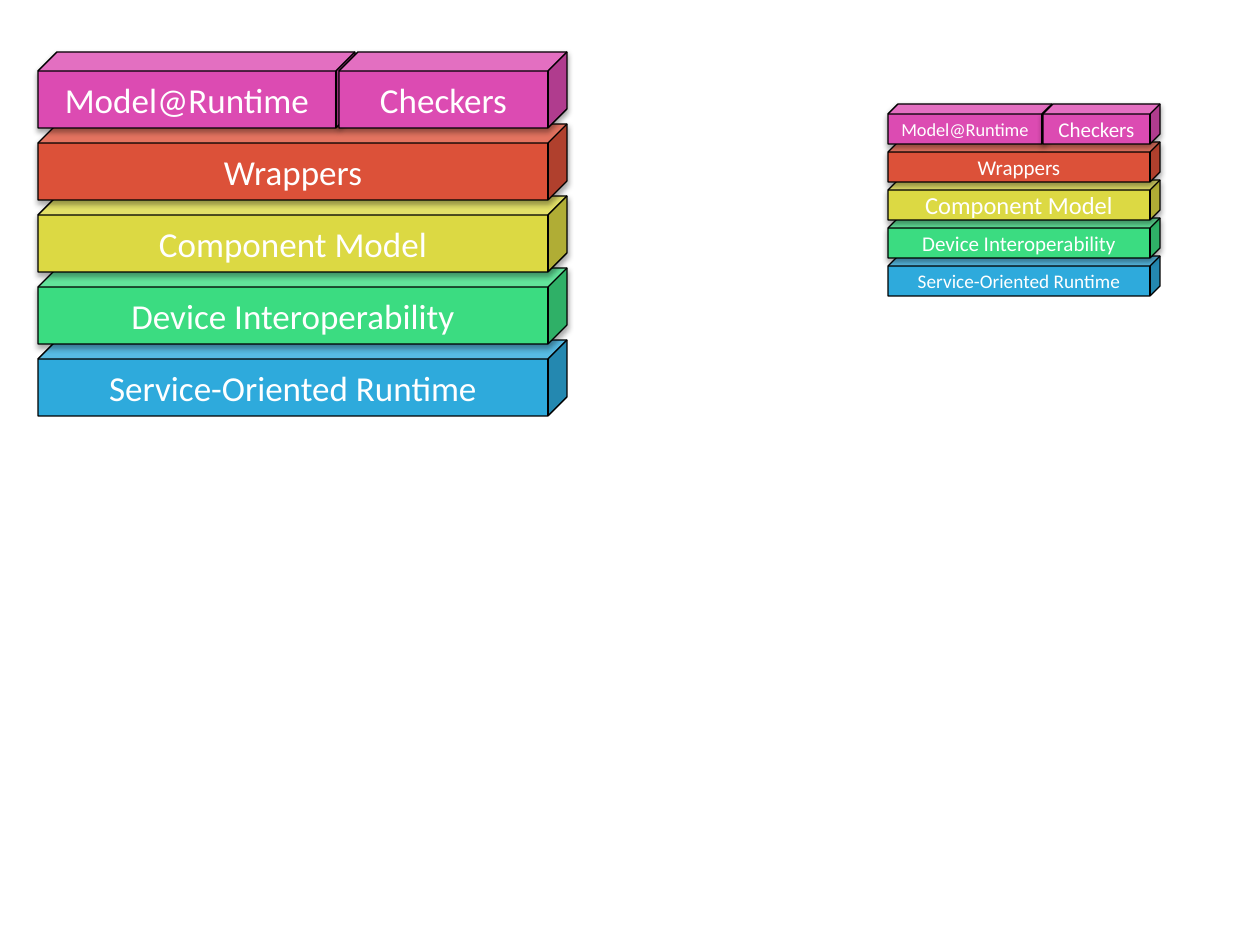
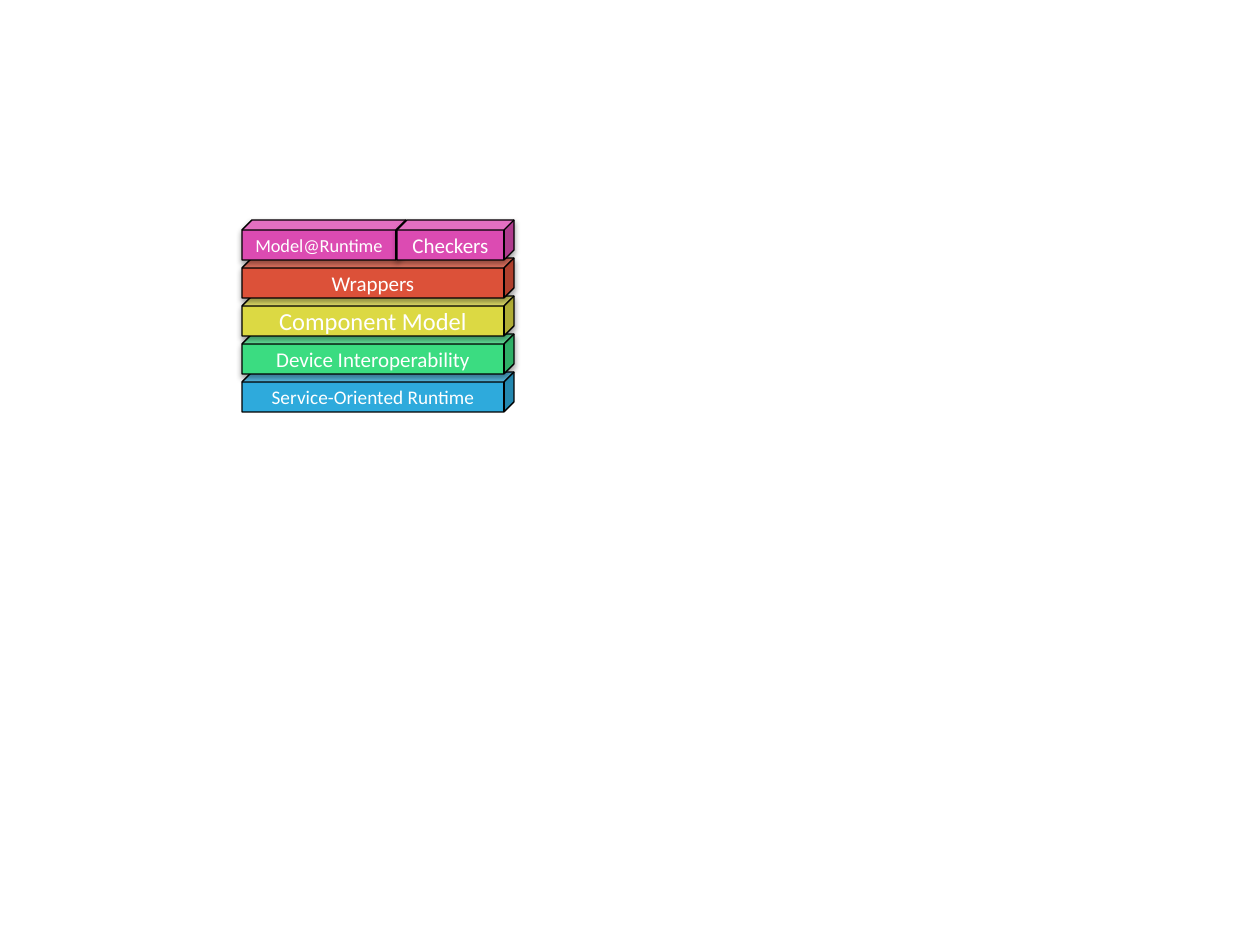
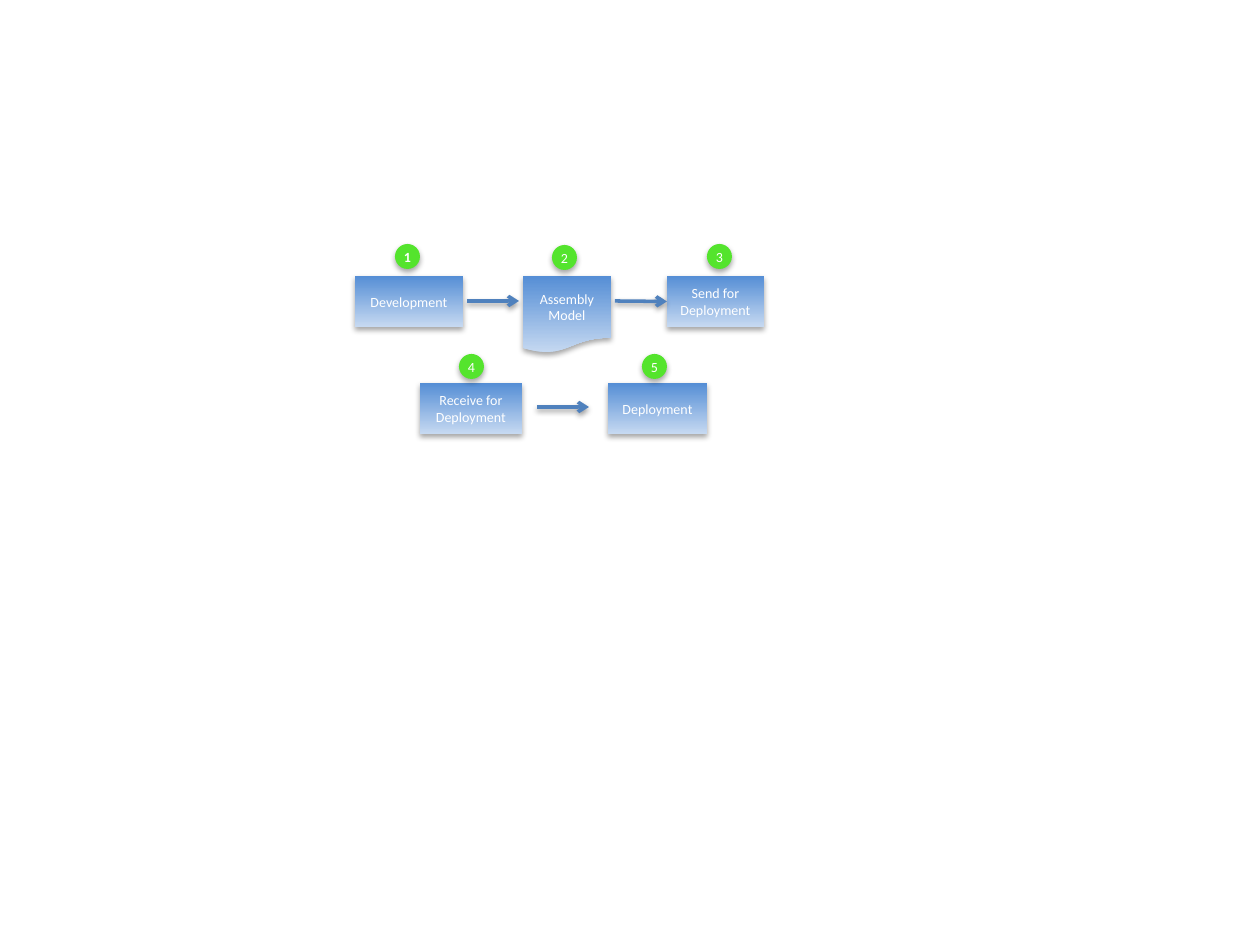
import lxml.etree
import pptx
import pptx.dml.color
import pptx.enum.shapes
import pptx.enum.text
import pptx.oxml
import pptx.oxml.ns
import pptx.util

PX = 9144000 / 1260
FONT = "Calibri"
WHITE = "FFFFFF"
BLACK = "000000"
ARROW_BLUE = "4F81BD"
BADGE_GREEN = "54E42D"
STEP_GRADIENT = ["C6D9F1", "558ED5"]
color = pptx.dml.color.RGBColor.from_string
KIND = pptx.enum.shapes.MSO_SHAPE
qn = pptx.oxml.ns.qn


def set_shadow(item, opacity, distance=23000):
    effects = lxml.etree.SubElement(item._element.spPr, qn("a:effectLst"))
    if opacity:
        shadow = lxml.etree.SubElement(effects, qn("a:outerShdw"), blurRad="40000",
                                       dist=str(distance), dir="5400000", rotWithShape="0")
        tone = lxml.etree.SubElement(shadow, qn("a:srgbClr"), val=BLACK)
        lxml.etree.SubElement(tone, qn("a:alpha"), val=str(opacity * 1000))


def add_block(group, kind, bounds, text, size, fill, outline=None, opacity=35):
    box = group.shapes.add_shape(kind, *[round(length * PX) for length in bounds])
    if isinstance(fill, list):
        box.fill.gradient()
        box.fill.gradient_angle = 90
        for stop, shade in zip(box.fill.gradient_stops, fill):
            stop.color.rgb = color(shade)
    else:
        box.fill.solid()
        box.fill.fore_color.rgb = color(fill)
    if outline:
        box.line.color.rgb = color(outline)
        box.line.width = pptx.util.Pt(0.75)
    else:
        box.line.fill.background()
    set_shadow(box, opacity)
    frame = box.text_frame
    frame.word_wrap = True
    frame.vertical_anchor = pptx.enum.text.MSO_ANCHOR.MIDDLE
    para = frame.paragraphs[0]
    para.alignment = pptx.enum.text.PP_ALIGN.CENTER
    span = para.add_run()
    span.text = text
    span.font.name = FONT
    span.font.size = pptx.util.Pt(size)
    span.font.color.rgb = color(WHITE)
    return box


deck = pptx.Presentation()
deck.slide_width = round(1260 * PX)
deck.slide_height = round(945 * PX)
pages = [deck.slides.add_slide(deck.slide_layouts[6]) for number in range(3)]

layers = [
    ("Service-Oriented Runtime", "2EAADC", 4),
    ("Device Interoperability", "3BDC81", 3),
    ("Component Model", "DCD943", 2),
    ("Wrappers", "DC5139", 1),
    ("Model@Runtime", "DC4BB2", 0),
    ("Checkers", "DC4BB2", 0),
]
large = {"width": 529, "height": 76, "pitch": 72, "model": 317, "checkers": 301,
         "sizes": [20] * 6}
small = {"width": 272, "height": 40, "pitch": 38, "model": 164, "checkers": 155,
         "sizes": [11, 12, 14, 12, 10.5, 12]}
stacks = [(pages[0], 38, 52, large), (pages[0], 888, 104, small), (pages[1], 242, 220, small)]

for page, left, top, stack in stacks:
    group = page.shapes.add_group_shape()
    for (name, fill, row), size in zip(layers, stack["sizes"]):
        start = stack["checkers"] if name == "Checkers" else 0
        end = stack["model"] if name == "Model@Runtime" else stack["width"]
        bounds = (left + start, top + row * stack["pitch"], end - start, stack["height"])
        add_block(group, KIND.CUBE, bounds, name, size, fill, BLACK, 0 if row == 4 else 35)

flow = pages[2].shapes.add_group_shape()
steps = [
    ("Development", KIND.RECTANGLE, 355, 276, 108, 51),
    ("Send for Deployment", KIND.RECTANGLE, 667, 276, 97, 51),
    ("Receive for Deployment", KIND.RECTANGLE, 420, 383, 102, 51),
    ("Deployment", KIND.RECTANGLE, 608, 383, 99, 51),
    ("Assembly Model", KIND.FLOWCHART_DOCUMENT, 523, 276, 88, 77),
]
boxes = {}
for name, kind, *bounds in steps:
    boxes[name] = add_block(flow, kind, bounds, name, 8, STEP_GRADIENT)

badges = [("1", 395, 244), ("3", 707, 244), ("2", 552, 245), ("5", 642, 354), ("4", 459, 354)]
for number, left, top in badges:
    badge = add_block(flow, KIND.OVAL, (left, top, 25, 25), number, 8, BADGE_GREEN)
    frame = badge.text_frame
    frame.word_wrap = False
    frame.margin_left = frame.margin_right = frame.margin_top = frame.margin_bottom = 0
    if number == "1":
        frame.paragraphs[0].runs[0].font.bold = True

arrows = [(467, 301, None), (615, 301, "Send for Deployment"), (537, 407, None)]
for left, middle, target in arrows:
    ends = [round(length * PX) for length in (left, middle, left + 52, middle)]
    arrow = flow.shapes.add_connector(pptx.enum.shapes.MSO_CONNECTOR.STRAIGHT, *ends)
    if target:
        arrow.end_connect(boxes[target], 1)
    arrow.line.color.rgb = color(ARROW_BLUE)
    arrow.line.width = pptx.util.Pt(2)
    lxml.etree.SubElement(arrow.line._get_or_add_ln(), qn("a:tailEnd"), type="arrow")
    set_shadow(arrow, 38, 20000)

deck.save("out.pptx")
